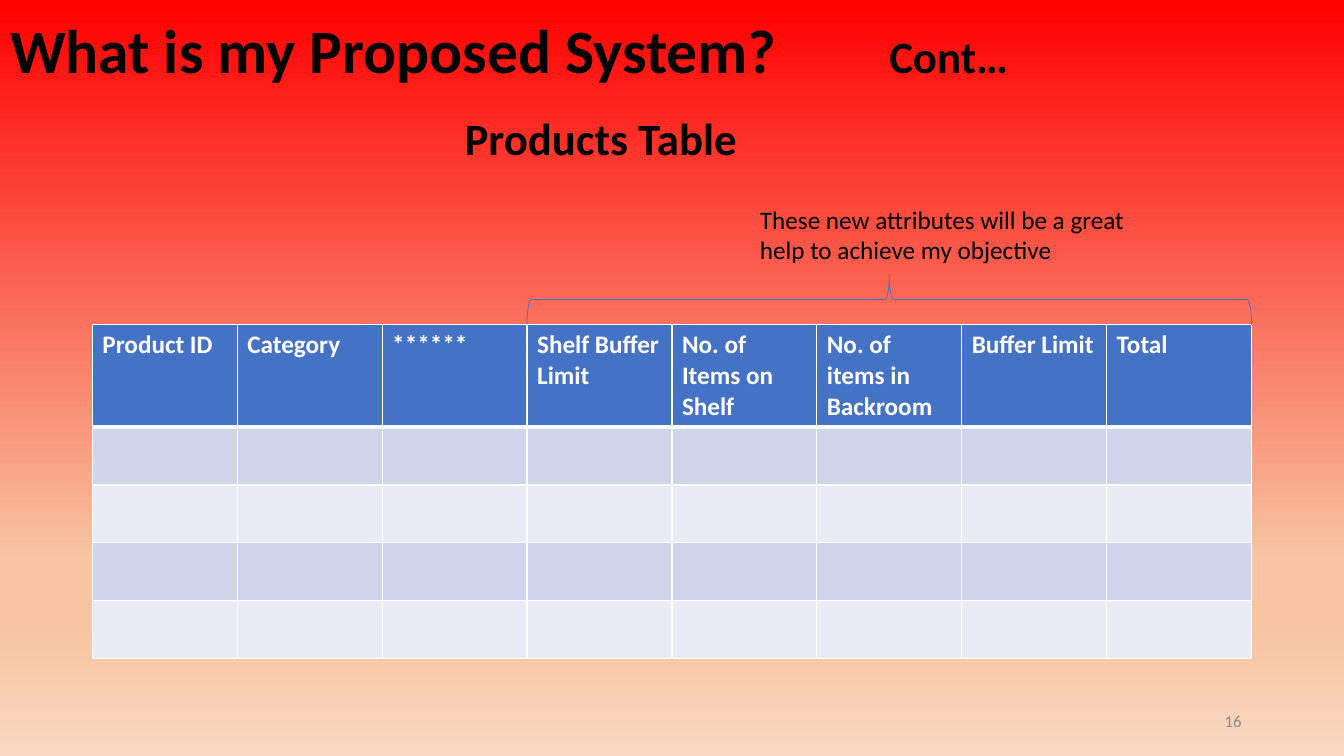
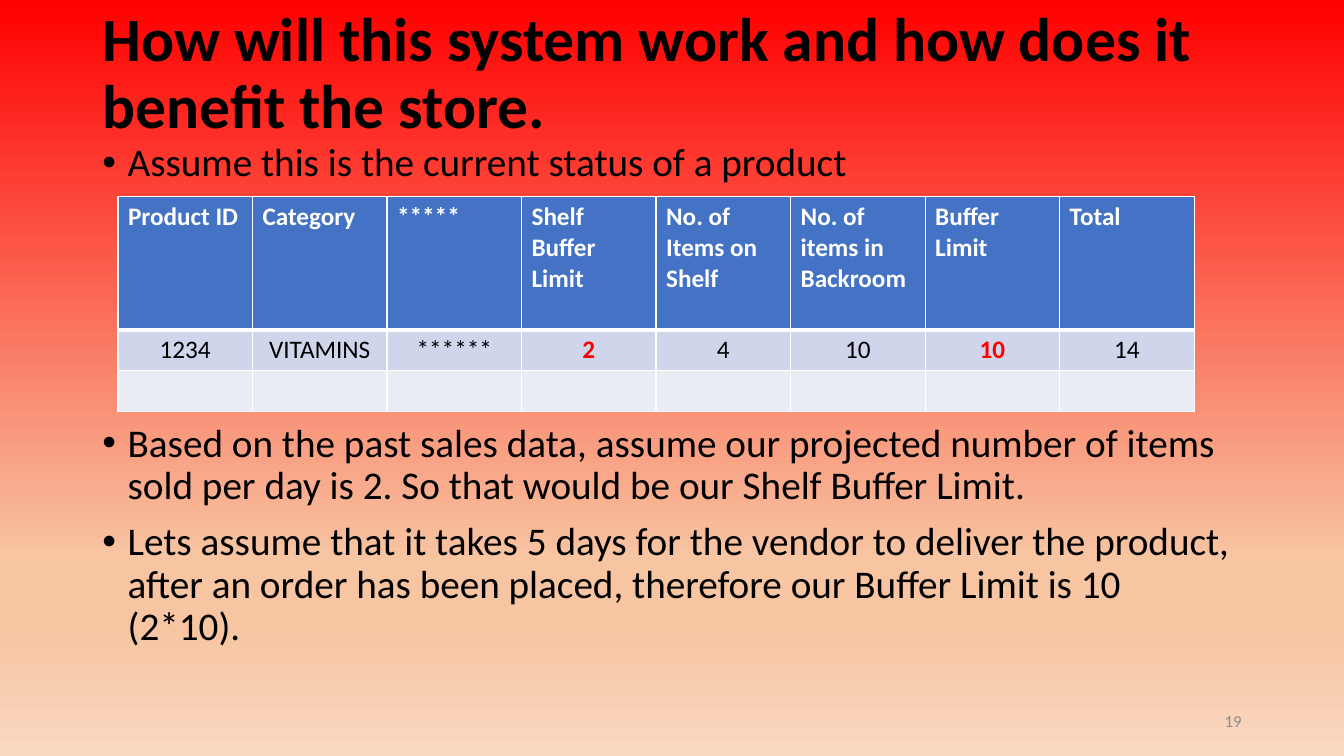
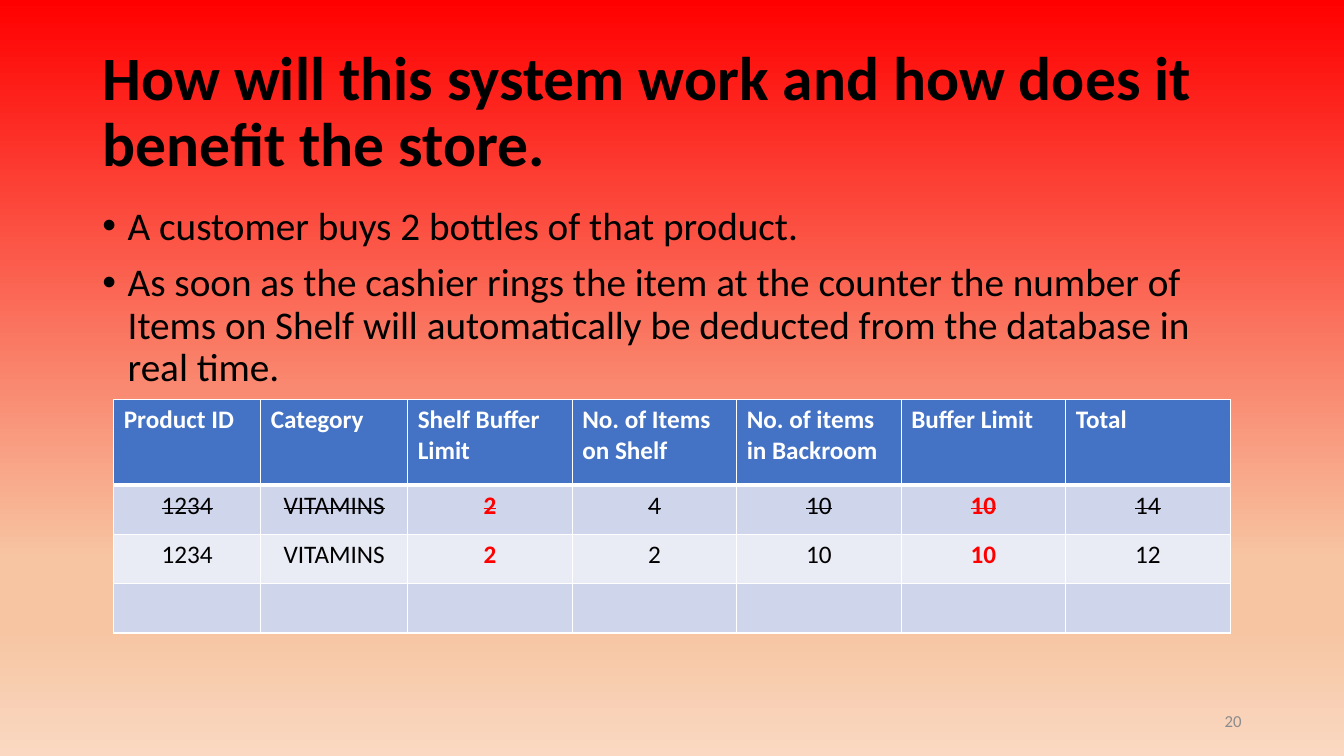
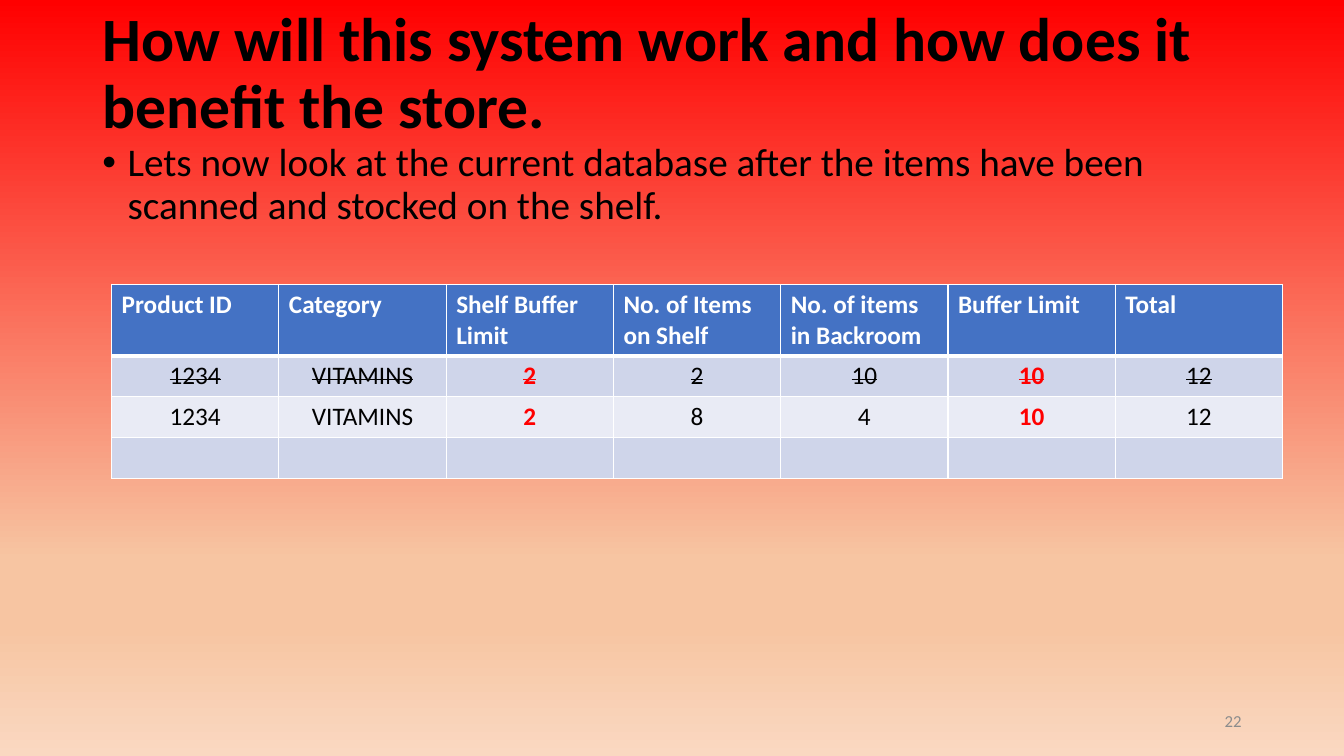
from dataclasses import dataclass
from typing import Any, NamedTuple

from lxml import etree
from pptx import Presentation
from pptx import util as u
from pptx.dml import color as col
from pptx.enum import shapes, text
from pptx.oxml import ns


# ---- Theme ----
@dataclass(frozen=True)
class Theme:
    font: str = "Calibri"
    ink: str = "000000"
    paper: str = "FFFFFF"
    accent: str = "4472C4"
    alert: str = "FF0000"
    muted: str = "8C8C8C"
    bands: tuple[str, str] = ("CFD5EA", "E9EBF5")
    gradient: tuple[tuple[int, str], ...] = (
        (0, "FF0000"), (74, "F7C5A2"), (83, "F7C5A2"), (100, "FAD8C1"))
    title_size: int = 44
    subtitle_size: int = 32
    body_size: int = 28
    table_size: int = 18
    number_size: int = 12


THEME = Theme()


class Box(NamedTuple):
    left: float
    top: float
    width: float
    height: float


class Row(NamedTuple):
    values: tuple[str, ...]
    struck: bool = False


class Bullet(NamedTuple):
    words: str
    space_before: float = 10


@dataclass(frozen=True)
class Grid:
    left: float
    top: float
    columns: tuple[float, ...]
    header_height: float
    row_height: float
    headings: tuple[str, ...]
    rows: tuple[Row, ...]


@dataclass(frozen=True)
class Page:
    number: int
    title_top: float
    body: Box
    bullets: tuple[Bullet, ...]
    grid: Grid


MARGIN, CONTENT_WIDTH = 66, 828
INDENT = 18
NUMBER_BOX = Box(678, 500.5, 216, 28.5)
WORK_TITLE = "How will this system work and how does it benefit the store."
HEADINGS = ("Product ID", "Category", "Shelf Buffer Limit", "No. of Items on Shelf",
            "No. of items in Backroom", "Buffer Limit", "Total")


def with_hidden(stars: str) -> tuple[str, ...]:
    """Headings with a masked column after the first two."""
    return HEADINGS[:2] + (stars,) + HEADINGS[2:]


# ---- Content ----
PRODUCTS = Grid(MARGIN, 232, (103.5,) * 8, 73, 41.25, with_hidden("******"), (Row(()),) * 4)
PAGES = (
    Page(19, 1.5, Box(MARGIN, 98.5, CONTENT_WIDTH, 430.5), (
        Bullet("Assume this is the current status of a product"),
        Bullet("Based on the past sales data, assume our projected number of items sold "
               "per day is 2. So that would be our Shelf Buffer Limit.", 170),
        Bullet("Lets assume that it takes 5 days for the vendor to deliver the product, "
               "after an order has been placed, therefore our Buffer Limit is 10 (2*10)."),
    ), Grid(84.25, 140.5, (96.1,) * 8, 95, 29.25, with_hidden("*****"), (
        Row(("1234", "VITAMINS", "******", "2", "4", "10", "10", "14")),
        Row(()),
    ))),
    Page(20, 29, Box(MARGIN, 144, CONTENT_WIDTH, 342.5), (
        Bullet("A customer buys 2 bottles of that product."),
        Bullet("As soon as the cashier rings the item at the counter the number of Items on "
               "Shelf will automatically be deducted from the database in real time."),
    ), Grid(81.25, 285.5, (105,) * 2 + (117.5,) * 5, 61, 35.25, HEADINGS, (
        Row(("1234", "VITAMINS", "2", "4", "10", "10", "14"), struck=True),
        Row(("1234", "VITAMINS", "2", "2", "10", "10", "12")),
        Row(()),
    ))),
    Page(22, 1.5, Box(MARGIN, 98.5, CONTENT_WIDTH, 342.5), (
        Bullet("Lets now look at the current database after the items have been scanned "
               "and stocked on the shelf."),
    ), Grid(79.75, 203.25, (119.5,) * 7, 51, 29.25, HEADINGS, (
        Row(("1234", "VITAMINS", "2", "2", "10", "10", "12"), struck=True),
        Row(("1234", "VITAMINS", "2", "8", "4", "10", "12")),
        Row(()),
    ))),
)


# ---- Helpers ----
def apply(target: Any, **formats: Any) -> None:
    for name, value in formats.items():
        setattr(target, name, value)


def place(shape: Any, box: Box) -> None:
    apply(shape, **{name: u.Pt(value) for name, value in box._asdict().items()})


def child(parent: Any, tag: str, **attributes: Any) -> Any:
    return etree.SubElement(parent, ns.qn(tag), {k: str(v) for k, v in attributes.items()})


def add_run(paragraph: Any, words: str, size: float, color: str = THEME.ink,
            bold: bool = False, struck: bool = False) -> None:
    run = paragraph.add_run()
    run.text = words
    apply(run.font, name=THEME.font, size=u.Pt(size), bold=bold)
    run.font.color.rgb = col.RGBColor.from_string(color)
    if struck:
        run.font._element.set("strike", "sngStrike")


def add_text(slide: Any, box: Box, words: str, size: float, color: str = THEME.ink,
             bold: bool = False, align: Any = text.PP_ALIGN.LEFT,
             anchor: Any = text.MSO_ANCHOR.TOP) -> None:
    shape = slide.shapes.add_textbox(*(u.Pt(value) for value in box))
    apply(shape.text_frame, word_wrap=True, vertical_anchor=anchor)
    paragraph = shape.text_frame.paragraphs[0]
    paragraph.alignment = align
    add_run(paragraph, words, size, color, bold)


def set_background(presentation: Any) -> None:
    master = presentation.slide_master
    fill = master.background.fill
    fill.gradient()
    fill.gradient_angle = 270
    stops = master.element.find(".//" + ns.qn("p:bg")).find(".//" + ns.qn("a:gsLst"))
    for stop in list(stops):
        stops.remove(stop)
    for percent, color in THEME.gradient:
        child(child(stops, "a:gs", pos=percent * 1000), "a:srgbClr", val=color)


# ---- Shared slide parts ----
def set_title(slide: Any, box: Box) -> Any:
    title = slide.shapes.title
    place(title, box)
    apply(title.text_frame, word_wrap=True, auto_size=text.MSO_AUTO_SIZE.NONE,
          vertical_anchor=text.MSO_ANCHOR.MIDDLE)
    paragraph = title.text_frame.paragraphs[0]
    apply(paragraph, alignment=text.PP_ALIGN.LEFT, line_spacing=0.9)
    return paragraph


def set_bullets(slide: Any, box: Box, bullets: tuple[Bullet, ...]) -> None:
    body = slide.placeholders[1]
    place(body, box)
    frame = body.text_frame
    apply(frame, word_wrap=True, auto_size=text.MSO_AUTO_SIZE.NONE)
    for index, bullet in enumerate(bullets):
        paragraph = frame.add_paragraph() if index else frame.paragraphs[0]
        properties = paragraph._p.get_or_add_pPr()
        properties.set("marL", str(u.Pt(INDENT)))
        properties.set("indent", str(-u.Pt(INDENT)))
        child(properties, "a:buFont", typeface="Arial")
        child(properties, "a:buChar", char="•")
        apply(paragraph, alignment=text.PP_ALIGN.LEFT, line_spacing=0.9,
              space_before=u.Pt(bullet.space_before if index else 0))
        add_run(paragraph, bullet.words, THEME.body_size)


def add_number(slide: Any, number: int) -> None:
    add_text(slide, NUMBER_BOX, str(number), THEME.number_size, THEME.muted,
             align=text.PP_ALIGN.RIGHT, anchor=text.MSO_ANCHOR.MIDDLE)


def style_cell(cell: Any, fill: str, top: float, bottom: float) -> None:
    properties = cell._tc.get_or_add_tcPr()
    for side, width in (("L", 1), ("R", 1), ("T", top), ("B", bottom)):
        line = child(properties, f"a:ln{side}", w=u.Pt(width))
        child(child(line, "a:solidFill"), "a:srgbClr", val=THEME.paper)
    cell.fill.solid()
    cell.fill.fore_color.rgb = col.RGBColor.from_string(fill)


def add_grid(slide: Any, grid: Grid) -> None:
    heights = (grid.header_height,) + (grid.row_height,) * len(grid.rows)
    box = Box(grid.left, grid.top, sum(grid.columns), sum(heights))
    table = slide.shapes.add_table(len(heights), len(grid.columns),
                                   *(u.Pt(value) for value in box)).table
    for column, width in zip(table.columns, grid.columns):
        column.width = u.Pt(width)
    for row, height in zip(table.rows, heights):
        row.height = u.Pt(height)

    for index, heading in enumerate(grid.headings):
        cell = table.cell(0, index)
        style_cell(cell, THEME.accent, 1, 3)
        add_run(cell.text_frame.paragraphs[0], heading, THEME.table_size, THEME.paper, True)

    for row_index, row in enumerate(grid.rows, start=1):
        for index, heading in enumerate(grid.headings):
            cell = table.cell(row_index, index)
            style_cell(cell, THEME.bands[(row_index - 1) % 2], 3 if row_index == 1 else 1, 1)
            if row.values:
                limit = heading.endswith("Limit")
                paragraph = cell.text_frame.paragraphs[0]
                paragraph.alignment = text.PP_ALIGN.CENTER
                add_run(paragraph, row.values[index], THEME.table_size,
                        THEME.alert if limit else THEME.ink, limit, row.struck)


# ---- Slides ----
def build_products(presentation: Any) -> None:
    slide = presentation.slides.add_slide(presentation.slide_layouts[5])
    paragraph = set_title(slide, Box(0, 1.5, CONTENT_WIDTH, 73.5))
    tabs = child(paragraph._p.get_or_add_pPr(), "a:tabLst")
    child(tabs, "a:tab", pos=u.Pt(628), algn="l")
    add_run(paragraph, "What is my Proposed System?\t", THEME.title_size, bold=True)
    add_run(paragraph, "Cont…", THEME.subtitle_size, bold=True)
    add_grid(slide, PRODUCTS)
    add_number(slide, 16)
    add_text(slide, Box(324.75, 75.5, 285, 46), "Products Table", THEME.subtitle_size, bold=True)

    # Brace over the new columns, turned to point upwards
    depth, length = 36, sum(PRODUCTS.columns[3:])
    center = PRODUCTS.left + sum(PRODUCTS.columns[:3]) + length / 2
    middle = PRODUCTS.top - depth / 2
    box = Box(center - depth / 2, middle - length / 2, depth, length)
    brace = slide.shapes.add_shape(shapes.MSO_SHAPE.RIGHT_BRACE, *(u.Pt(value) for value in box))
    brace.rotation = 270
    brace.shadow.inherit = False
    brace.fill.background()
    brace.line.width = u.Pt(0.5)
    brace.line.color.rgb = col.RGBColor.from_string(THEME.accent)
    add_text(slide, Box(535.75, 142.5, 285, 51),
             "These new attributes will be a great help to achieve my objective", THEME.table_size)


def build_page(presentation: Any, page: Page) -> None:
    slide = presentation.slides.add_slide(presentation.slide_layouts[1])
    paragraph = set_title(slide, Box(MARGIN, page.title_top, CONTENT_WIDTH, 104.5))
    add_run(paragraph, WORK_TITLE, THEME.title_size, bold=True)
    set_bullets(slide, page.body, page.bullets)
    add_number(slide, page.number)
    add_grid(slide, page.grid)


def main() -> None:
    presentation = Presentation()
    apply(presentation, slide_width=u.Pt(960), slide_height=u.Pt(540))
    set_background(presentation)
    build_products(presentation)
    for page in PAGES:
        build_page(presentation, page)
    presentation.save("out.pptx")


if __name__ == "__main__":
    main()
